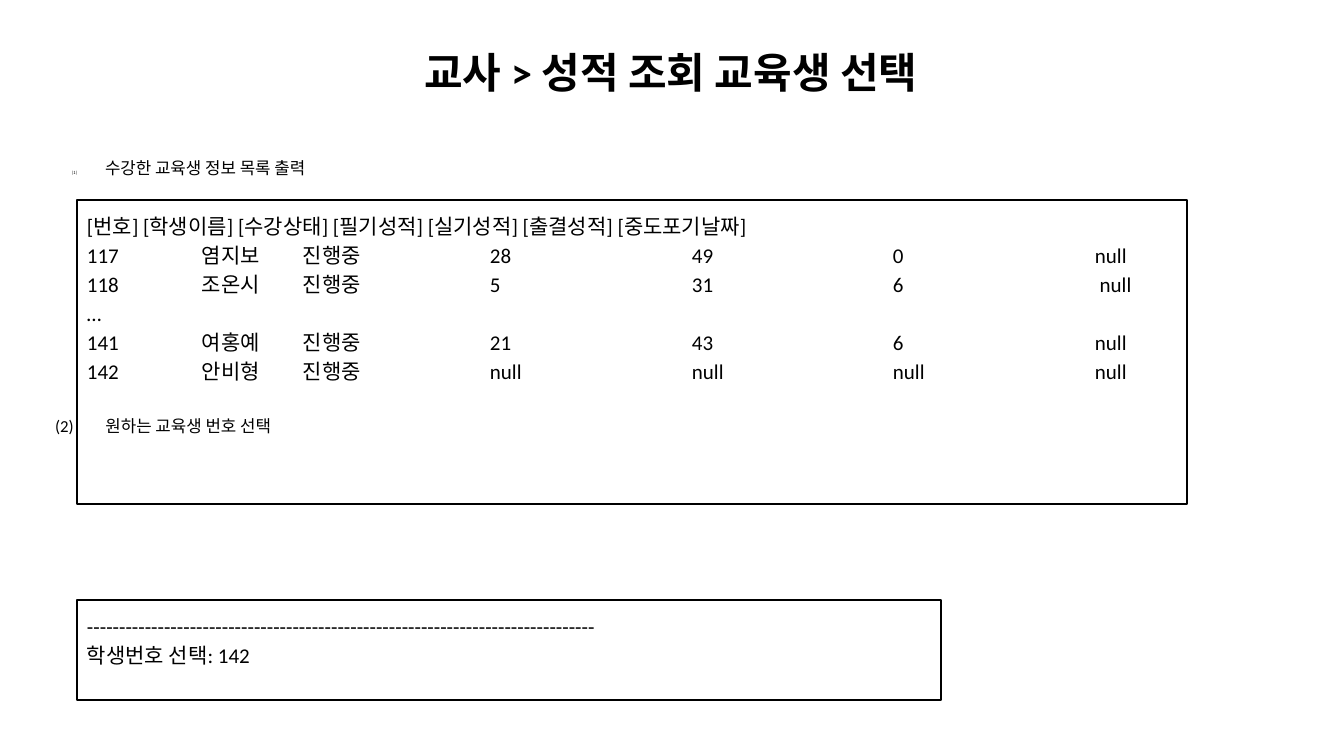
from dataclasses import dataclass

from lxml import etree
from pptx import Presentation
from pptx import util as u
from pptx.dml.color import RGBColor
from pptx.enum import shapes, text
from pptx.oxml import ns

PX = 914400 / 100.8  # EMU in one px


def px(length):
    return u.Emu(round(length * PX))


@dataclass(frozen=True)
class Theme:
    font: str = "Calibri"
    ink: RGBColor = RGBColor(0, 0, 0)
    title_size: int = 30
    body_size: int = 12
    box_size: int = 15
    line_width: float = 1.5
    box_spacing: float = 1.15
    margin: int = 10


def add_property(para, tag, **attributes):
    properties = para._p.get_or_add_pPr()
    return etree.SubElement(properties, ns.qn(tag), attributes)


def set_indent(para, left, first):
    properties = para._p.get_or_add_pPr()
    properties.set("marL", str(px(left)))
    properties.set("indent", str(px(first)))


def add_tabs(para, stops):
    tab_list = add_property(para, "a:tabLst")
    for stop in stops:
        etree.SubElement(tab_list, ns.qn("a:tab"), pos=str(px(stop)), algn="l")


class SlideBuilder:
    def __init__(self, deck, theme):
        self.theme = theme
        self.slide = deck.slides.add_slide(deck.slide_layouts[1])

    def place(self, shape, left, top, width, height):
        shape.left, shape.top = px(left), px(top)
        shape.width, shape.height = px(width), px(height)

    def fill_text(self, shape, lines, size, align, spacing=1.0, bold=False):
        frame = shape.text_frame
        frame.text = "\n".join(lines)
        frame.word_wrap = True
        frame.auto_size = text.MSO_AUTO_SIZE.NONE
        frame.vertical_anchor = text.MSO_ANCHOR.TOP
        frame.margin_left = frame.margin_right = px(self.theme.margin)
        frame.margin_top = frame.margin_bottom = px(self.theme.margin)
        for para in frame.paragraphs:
            para.alignment = align
            para.line_spacing = spacing
            para.space_before = u.Pt(0)
            for span in para.runs:
                span.font.name = self.theme.font
                span.font.size = u.Pt(size)
                span.font.bold = bold
                span.font.color.rgb = self.theme.ink
        return frame.paragraphs

    def title(self, words, *place):
        title = self.slide.shapes.title
        self.place(title, *place)
        self.fill_text(title, [words], self.theme.title_size,
                       text.PP_ALIGN.CENTER, bold=True)

    def steps(self, first, second, gap, *place):
        """Fill the body with an auto-numbered step and, below a gap, a typed one."""
        body = self.slide.placeholders[1]
        self.place(body, *place)
        numbered, typed = self.fill_text(body, [first, second],
                                         self.theme.body_size, text.PP_ALIGN.LEFT)
        set_indent(numbered, 50, -33)
        colour = add_property(numbered, "a:buClr")
        etree.SubElement(colour, ns.qn("a:srgbClr"), val=str(self.theme.ink))
        add_property(numbered, "a:buSzPct", val="25000")
        add_property(numbered, "a:buAutoNum", type="arabicParenBoth")
        set_indent(typed, 0, 0)
        typed.space_before = px(gap)
        add_property(typed, "a:buNone")
        add_tabs(typed, [101])

    def console(self, lines, stops, *place):
        """Draw an outlined box of program output, with columns at the tab stops."""
        box = self.slide.shapes.add_shape(
            shapes.MSO_SHAPE.RECTANGLE, *(px(length) for length in place))
        box.shadow.inherit = False
        box.fill.background()
        box.line.color.rgb = self.theme.ink
        box.line.width = u.Pt(self.theme.line_width)
        paragraphs = self.fill_text(box, lines, self.theme.box_size,
                                    text.PP_ALIGN.LEFT, self.theme.box_spacing)
        for para in paragraphs:
            if "\t" in para.text:
                add_tabs(para, stops)


HEADINGS = ["번호", "학생이름", "수강상태", "필기성적", "실기성적", "출결성적", "중도포기날짜"]
STUDENTS = [
    ["117", "염지보", "진행중", "28", "49", "0", "null"],
    ["118", "조온시", "진행중", "5", "31", "6", " null"],
    ["…"],
    ["141", "여홍예", "진행중", "21", "43", "6", "null"],
    ["142", "안비형", "진행중", "null", "null", "null", "null"],
]
COLUMNS = [115, 216, 403, 605, 806, 1008]


def main():
    deck = Presentation()
    deck.slide_width, deck.slide_height = px(1344), px(756)
    page = SlideBuilder(deck, Theme())
    page.title("교사 > 성적 조회 교육생 선택", 45, 37, 1252, 85)
    page.steps("수강한 교육생 정보 목록 출력", "(2)\t원하는 교육생 번호 선택", 238,
               45, 148, 1252, 546)
    header = " ".join(f"[{heading}]" for heading in HEADINGS)
    rows = ["\t".join(student) for student in STUDENTS]
    page.console([header] + rows, COLUMNS, 77, 200, 1110, 304)
    page.console(["-" * 79, "학생번호 선택: 142"], [], 77, 600, 864, 100)
    deck.save("out.pptx")


if __name__ == "__main__":
    main()
